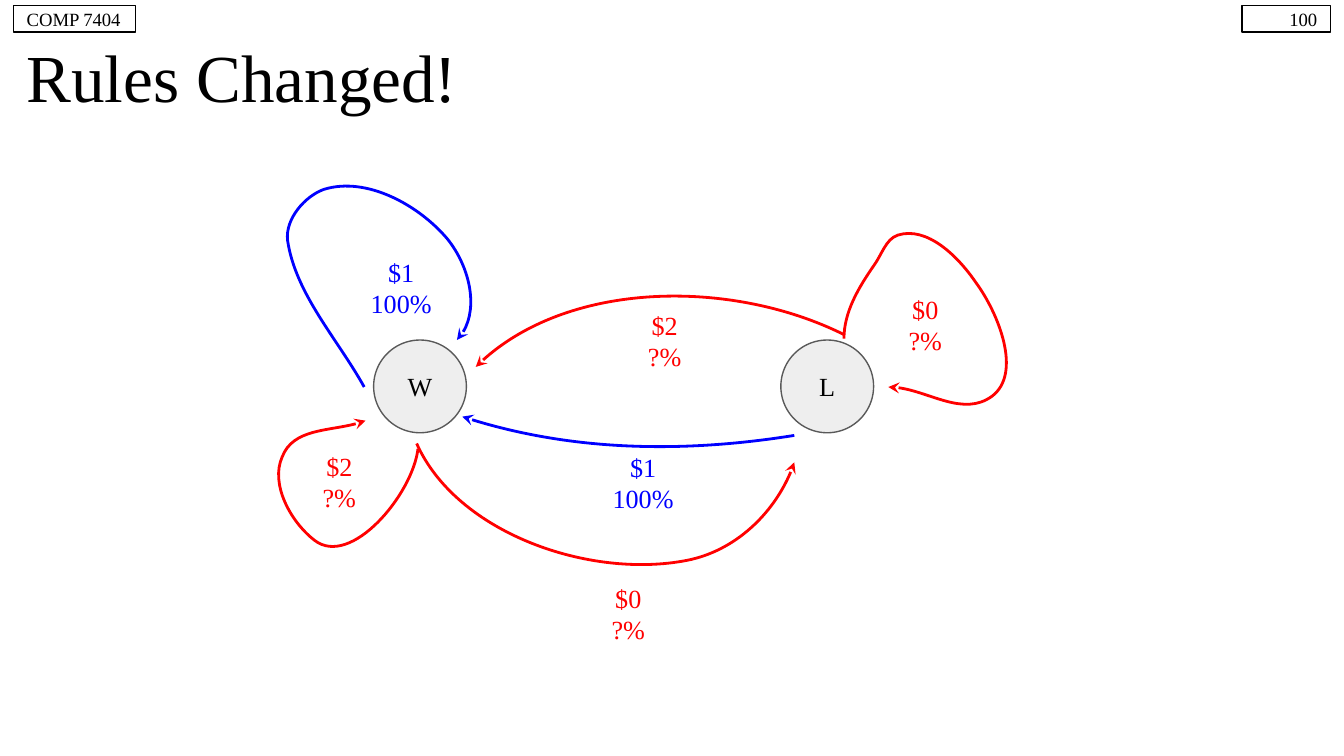
"""Build a slide showing a two-state reward diagram after its rules changed."""
from dataclasses import dataclass
from typing import NamedTuple

from lxml.etree import SubElement
from pptx import Presentation
from pptx.dml.color import RGBColor
from pptx.enum.shapes import MSO_SHAPE
from pptx.enum.text import MSO_ANCHOR, PP_ALIGN
from pptx.oxml.ns import qn
from pptx.shapes.base import BaseShape
from pptx.slide import Slide
from pptx.util import Inches, Pt

Point = tuple[float, float]


@dataclass(frozen=True)
class Theme:
    font: str = "Times New Roman"
    black: RGBColor = RGBColor(0x00, 0x00, 0x00)
    known: RGBColor = RGBColor(0x00, 0x00, 0xFF)
    unknown: RGBColor = RGBColor(0xFF, 0x00, 0x00)
    state_fill: RGBColor = RGBColor(0xEE, 0xEE, 0xEE)
    state_line: RGBColor = RGBColor(0x59, 0x59, 0x59)
    title_size: int = 36
    body_size: int = 14
    header_size: int = 10
    thin: float = 0.75
    thick: float = 1.5
    inset: float = 0.1


THEME = Theme()


class Box(NamedTuple):
    left: float
    top: float
    width: float
    height: float


class Header(NamedTuple):
    text: str
    box: Box
    align: PP_ALIGN


class State(NamedTuple):
    name: str
    left: float


class Reward(NamedTuple):
    amount: str
    chance: str
    left: float
    top: float
    color: RGBColor


class Transition(NamedTuple):
    color: RGBColor
    start: Point
    curves: list[tuple[Point, Point, Point]]


HEADERS = [
    Header("100", Box(9.24, 0.04, 0.66, 0.2), PP_ALIGN.RIGHT),
    Header("COMP 7404", Box(0.1, 0.04, 0.91, 0.2), PP_ALIGN.LEFT),
]
STATE_TOP, STATE_SIZE = 2.53, 0.69
STATES = [State("W", 2.78), State("L", 5.81)]
KNOWN_REWARDS = [
    Reward("$1", "100%", 4.44, 3.37, THEME.known),
    Reward("$1", "100%", 2.64, 1.92, THEME.known),
]
UNKNOWN_REWARDS = [
    Reward("$2", "?%", 2.07, 3.3, THEME.unknown),
    Reward("$0", "?%", 4.22, 4.28, THEME.unknown),
    Reward("$0", "?%", 6.43, 2.13, THEME.unknown),
    Reward("$2", "?%", 4.49, 2.25, THEME.unknown),
]
TRANSITIONS = [
    Transition(THEME.known, (2.71, 2.88), [
        ((2.51, 2.52), (2.2, 2.19), (2.14, 1.79)),
        ((2.12, 1.63), (2.27, 1.46), (2.41, 1.41)),
        ((2.73, 1.31), (3.12, 1.53), (3.33, 1.78)),
        ((3.49, 1.98), (3.58, 2.35), (3.4, 2.53)),
    ]),
    Transition(THEME.known, (5.91, 3.24), [((5.1, 3.37), (4.23, 3.36), (3.44, 3.1))]),
    Transition(THEME.unknown, (3.1, 3.3), [
        ((3.4, 3.97), (4.39, 4.31), (5.11, 4.17)),
        ((5.47, 4.1), (5.8, 3.78), (5.91, 3.44)),
    ]),
    Transition(THEME.unknown, (3.11, 3.34), [
        ((3.07, 3.68), (2.61, 4.23), (2.34, 4.02)),
        ((2.16, 3.88), (2.01, 3.6), (2.1, 3.4)),
        ((2.18, 3.19), (2.51, 3.21), (2.72, 3.13)),
    ]),
    Transition(THEME.unknown, (6.28, 2.52), [
        ((6.28, 2.32), (6.39, 2.14), (6.5, 1.98)),
        ((6.56, 1.9), (6.59, 1.78), (6.68, 1.75)),
        ((6.9, 1.68), (7.13, 1.91), (7.26, 2.1)),
        ((7.43, 2.33), (7.61, 2.78), (7.38, 2.95)),
        ((7.17, 3.1), (6.87, 2.88), (6.61, 2.88)),
    ]),
    Transition(THEME.unknown, (6.28, 2.49), [((5.46, 2.08), (4.19, 2.08), (3.54, 2.73))]),
]


def write(shape: BaseShape, lines: list[str], size: int, color: RGBColor, align: PP_ALIGN,
          top: float = THEME.inset, bottom: float = THEME.inset) -> None:
    frame = shape.text_frame
    frame.word_wrap = True
    frame.vertical_anchor = MSO_ANCHOR.MIDDLE
    frame.margin_left = frame.margin_right = Inches(THEME.inset)
    frame.margin_top, frame.margin_bottom = Inches(top), Inches(bottom)
    frame.text = "\n".join(lines)
    for paragraph in frame.paragraphs:
        paragraph.alignment = align
        paragraph.font.name = THEME.font
        paragraph.font.size = Pt(size)
        paragraph.font.color.rgb = color


def outline(shape: BaseShape, color: RGBColor, width: float) -> None:
    shape.shadow.inherit = False
    shape.line.color.rgb = color
    shape.line.width = Pt(width)


def draw_header(slide: Slide, header: Header) -> None:
    frame = slide.shapes.add_shape(MSO_SHAPE.RECTANGLE, *map(Inches, header.box))
    frame.fill.background()
    outline(frame, THEME.black, THEME.thin)
    write(frame, [header.text], THEME.header_size, THEME.black, header.align)


def draw_state(slide: Slide, state: State) -> None:
    box = Box(state.left, STATE_TOP, STATE_SIZE, STATE_SIZE)
    circle = slide.shapes.add_shape(MSO_SHAPE.OVAL, *map(Inches, box))
    circle.fill.solid()
    circle.fill.fore_color.rgb = THEME.state_fill
    outline(circle, THEME.state_line, THEME.thin)
    write(circle, [state.name], THEME.body_size, THEME.black, PP_ALIGN.CENTER)


def draw_reward(slide: Slide, reward: Reward, width: float, height: float,
                top: float = THEME.inset, bottom: float = THEME.inset) -> None:
    label = slide.shapes.add_textbox(*map(Inches, Box(reward.left, reward.top, width, height)))
    write(label, [reward.amount, reward.chance], THEME.body_size, reward.color,
          PP_ALIGN.CENTER, top, bottom)


def bezier(points: tuple[Point, ...], t: float) -> Point:
    weights = ((1 - t) ** 3, 3 * t * (1 - t) ** 2, 3 * t**2 * (1 - t), t**3)
    x, y = (sum(w * p[axis] for w, p in zip(weights, points)) for axis in (0, 1))
    return x, y


def draw_transition(slide: Slide, transition: Transition, steps: int = 20) -> None:
    starts = [transition.start, *(curve[-1] for curve in transition.curves)]
    samples = [bezier((start, *curve), step / steps)
               for start, curve in zip(starts, transition.curves)
               for step in range(1, steps + 1)]
    builder = slide.shapes.build_freeform(*map(Inches, transition.start))
    builder.add_line_segments([(Inches(x), Inches(y)) for x, y in samples], close=False)
    arrow = builder.convert_to_shape()
    arrow.fill.background()
    outline(arrow, transition.color, THEME.thick)
    SubElement(next(arrow.element.iter(qn("a:ln"))), qn("a:tailEnd"), type="stealth")

    track = next(arrow.element.iter(qn("a:path")))
    for segment in track.findall(qn("a:lnTo")):
        track.remove(segment)
    for curve in transition.curves:
        segment = SubElement(track, qn("a:cubicBezTo"))
        for x, y in curve:
            SubElement(segment, qn("a:pt"), x=str(Inches(x) - arrow.left),
                       y=str(Inches(y) - arrow.top))


def main() -> None:
    deck = Presentation()
    deck.slide_width = Inches(10)
    deck.slide_height = deck.slide_width * 9 // 16
    slide = deck.slides.add_slide(deck.slide_layouts[6])
    title = slide.shapes.add_textbox(*map(Inches, Box(0.1, 0.28, 9.8, 0.57)))
    write(title, ["Rules Changed!"], THEME.title_size, THEME.black, PP_ALIGN.LEFT)
    for header in HEADERS:
        draw_header(slide, header)
    for state in STATES:
        draw_state(slide, state)
    for transition in TRANSITIONS:
        draw_transition(slide, transition)
    for reward in KNOWN_REWARDS:
        draw_reward(slide, reward, 0.69, 0.65, top=0, bottom=0.21)
    for reward in UNKNOWN_REWARDS:
        draw_reward(slide, reward, 0.91, 0.57)
    deck.save("out.pptx")


if __name__ == "__main__":
    main()
